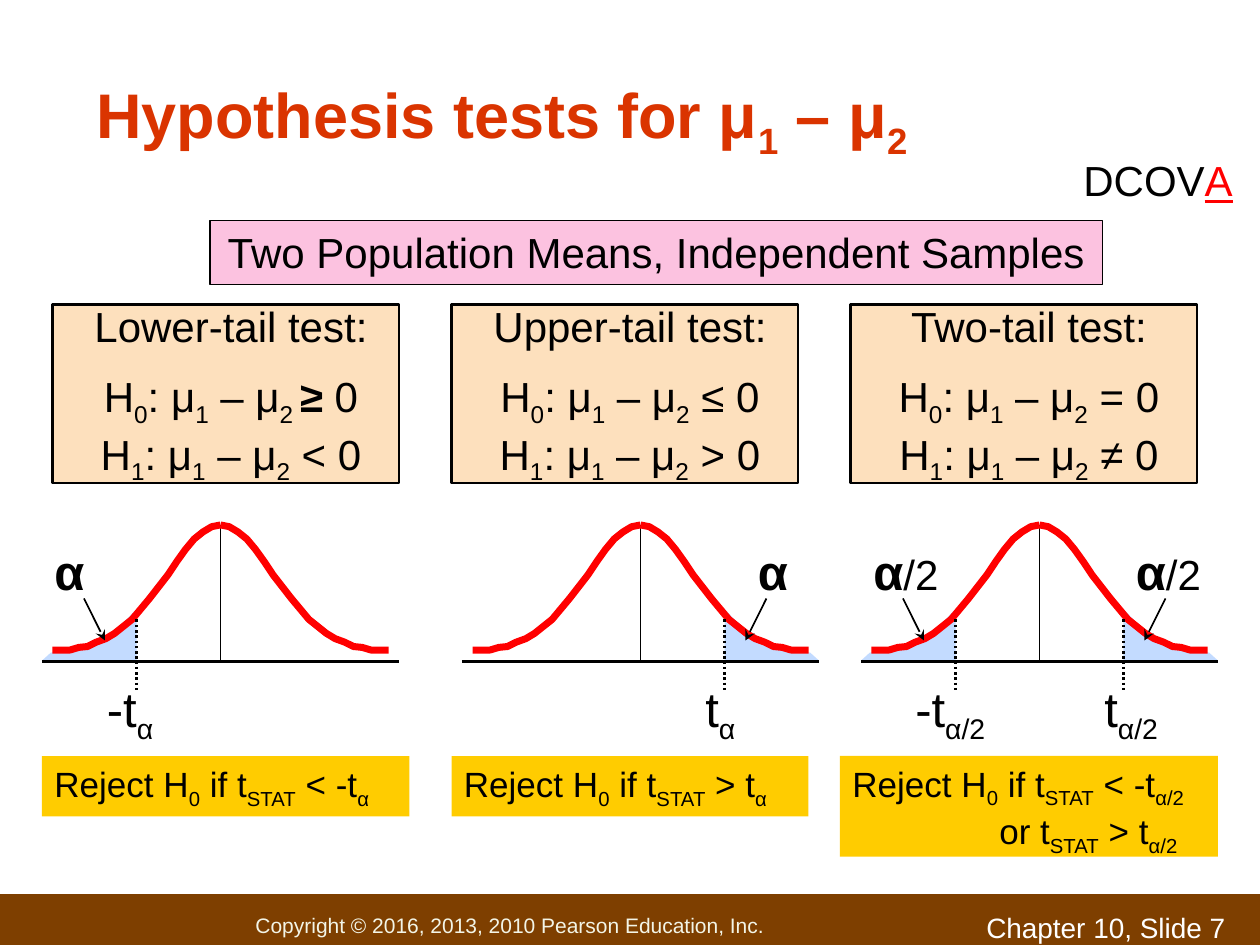
"""Build the slide on hypothesis tests for the difference of two means."""
from lxml.etree import SubElement
from pptx import Presentation
from pptx.dml.color import RGBColor
from pptx.enum.dml import MSO_LINE
from pptx.enum.shapes import MSO_CONNECTOR, MSO_SHAPE
from pptx.enum.text import MSO_ANCHOR, PP_ALIGN
from pptx.oxml.ns import qn
from pptx.util import Pt

BLACK = RGBColor(0x00, 0x00, 0x00)
WHITE = RGBColor(0xFF, 0xFF, 0xFF)
RED = RGBColor(0xFF, 0x00, 0x00)
TITLE_RED = RGBColor(0xDA, 0x34, 0x00)
BROWN = RGBColor(0x7E, 0x3F, 0x00)
CREAM = RGBColor(0xF3, 0xF5, 0xE7)
PEACH = RGBColor(0xFD, 0xE0, 0xBD)
PINK = RGBColor(0xFC, 0xC2, 0xE0)
GOLD = RGBColor(0xFF, 0xCC, 0x00)
TAIL_BLUE = RGBColor(0xC3, 0xDB, 0xFF)

LEFT, RIGHT = -1, 1
AXIS_Y, PEAK_Y = 378, 300
AXIS_REACH, CUTOFF_REACH = 102, 48
CURVE = [(96, 371.5), (86, 371.5), (81, 370), (76, 369.5), (71, 367), (65.5, 365),
         (60.5, 362), (50.5, 354), (40.5, 342), (30, 328.5), (25, 321), (20, 314),
         (15, 308), (10, 304), (5, 301), (0, PEAK_Y)]
TAIL = [(AXIS_REACH, 377.5), (97, 373), (79, 369.5), (69.5, 366.5), (59, 359.5),
        (CUTOFF_REACH, 348), (CUTOFF_REACH, AXIS_Y), (AXIS_REACH, AXIS_Y)]
HYPOTHESES = [
    ("Lower-tail test:", "H|0|: μ|1| – μ|2 |≥|| 0", "H|1|: μ|1| – μ|2| < 0"),
    ("Upper-tail test:", "H|0|: μ|1| – μ|2| ≤ 0", "H|1|: μ|1| – μ|2| > 0"),
    ("Two-tail test:", "H|0|: μ|1| – μ|2| = 0", "H|1|: μ|1| – μ|2| ≠ 0"),
]
# Each tail: side, area label and its left, critical value and its left.
CURVES = [
    (126, [(LEFT, "α", -102, "-t|α", -72)]),
    (366, [(RIGHT, "α", 60, "t|α", 30)]),
    (594, [(LEFT, "α||/2", -102, "-t|α/2", -78), (RIGHT, "α||/2", 48, "t|α/2", 30)]),
]
REJECTIONS = [
    (24, 210, 34.5, ["Reject H|0| if t|STAT| < -t|α"]),
    (258, 204, 34.5, ["Reject H|0| if t|STAT| > t|α"]),
    (480, 216, 57.5, ["Reject H|0| if t|STAT| < -t|α/2", "or t|STAT| > t|α/2"]),
]


def write_paragraph(paragraph, markup, size, color=BLACK, bold=False):
    """Write text in which every second part between bars is a subscript."""
    for index, part in enumerate(markup.split("|")):
        if not part:
            continue
        run = paragraph.add_run()
        run.text = part
        run.font.name = "Arial"
        run.font.size = Pt(size)
        run.font.bold = bold
        run.font.color.rgb = color
        if index % 2:
            run.font._element.set("baseline", "-25000")


def fill_text(shape, lines, size, color=BLACK, bold=False, align=PP_ALIGN.LEFT):
    """Write the lines into a shape and return its paragraphs."""
    frame = shape.text_frame
    frame.word_wrap = True
    frame.vertical_anchor = MSO_ANCHOR.TOP
    for index, line in enumerate(lines):
        paragraph = frame.add_paragraph() if index else frame.paragraphs[0]
        paragraph.alignment = align
        write_paragraph(paragraph, line, size, color, bold)
    return frame.paragraphs


def add_text(slide, left, top, width, height):
    """Add an empty text box."""
    return slide.shapes.add_textbox(Pt(left), Pt(top), Pt(width), Pt(height))


def paint(shape, fill=None, line=None, width=1.5):
    """Set fill and outline of a shape, leaving out what is None."""
    shape.shadow.inherit = False
    if fill is None:
        shape.fill.background()
    else:
        shape.fill.solid()
        shape.fill.fore_color.rgb = fill
    if line is None:
        shape.line.fill.background()
    else:
        shape.line.color.rgb = line
        shape.line.width = Pt(width)


def add_box(slide, left, top, width, height, fill, line=None, line_width=1.5):
    """Add a filled rectangle."""
    shape = slide.shapes.add_shape(MSO_SHAPE.RECTANGLE, Pt(left), Pt(top), Pt(width), Pt(height))
    paint(shape, fill, line, line_width)
    return shape


def add_outline(slide, center, side, points, closed, fill=None, line=None):
    """Add a freeform from distances to the center line on one side."""
    corners = [(Pt(center + side * reach), Pt(y)) for reach, y in points]
    builder = slide.shapes.build_freeform(*corners[0], scale=1.0)
    builder.add_line_segments(corners[1:], close=closed)
    paint(builder.convert_to_shape(), fill, line, 4)


def add_line(slide, x1, y1, x2, y2, width, dash=None, arrow=False):
    """Add a black straight line."""
    connector = slide.shapes.add_connector(
        MSO_CONNECTOR.STRAIGHT, Pt(x1), Pt(y1), Pt(x2), Pt(y2))
    connector.line.color.rgb = BLACK
    connector.line.width = Pt(width)
    if dash:
        connector.line.dash_style = dash
    properties = connector._element.spPr
    if arrow:
        SubElement(properties.get_or_add_ln(), qn("a:tailEnd"), type="stealth")
    SubElement(properties, qn("a:effectLst"))


def add_tail_labels(slide, center, side, area, area_left, critical, critical_left):
    """Mark a rejection tail with its area, arrow, cutoff and critical value."""
    label = add_text(slide, center + area_left, 306, 66 if "/" in area else 30, 40)
    alpha = fill_text(label, [area], 24)[0].runs[0]
    alpha.font.size = Pt(28)
    alpha.font.bold = True
    start = 75 - 3 * side
    add_line(slide, center + side * start, 342, center + side * (start - 12), 366, 1, arrow=True)
    fill_text(add_text(slide, center + critical_left, 384, 78, 45), [critical], 28)
    cutoff = center + side * CUTOFF_REACH
    add_line(slide, cutoff, 354, cutoff, 396, 1.5, dash=MSO_LINE.ROUND_DOT)


def add_distribution(slide, center, tails):
    """Draw a bell curve with its shaded and labelled tails."""
    add_line(slide, center, PEAK_Y, center, AXIS_Y, 0.75)
    for tail in tails:
        add_outline(slide, center, tail[0], TAIL, True, fill=TAIL_BLUE)
    for side in (LEFT, RIGHT):
        add_outline(slide, center, side, CURVE, False, line=RED)
    add_line(slide, center - AXIS_REACH, AXIS_Y, center + AXIS_REACH, AXIS_Y, 2)
    for tail in tails:
        add_tail_labels(slide, center, *tail)


def add_hypotheses(slide, left, lines):
    """Add a box with a test's name and its two hypotheses."""
    add_box(slide, left, 174, 198, 102, PEACH, BLACK)
    box = add_text(slide, left - 6, 168, 216, 114)
    paragraphs = fill_text(box, lines, 24, align=PP_ALIGN.CENTER)
    paragraphs[1].space_before = Pt(11.5)
    for run in paragraphs[1].runs:
        run.font.bold = run.text == "≥"


def add_rejection(slide, left, width, height, lines):
    """Add a decision rule, with any second line indented."""
    box = add_box(slide, left, 432, width, height, GOLD)
    for paragraph in fill_text(box, lines, 20)[1:]:
        paragraph._p.get_or_add_pPr().set("marL", str(Pt(84)))


def add_header(slide):
    """Add the title, the step marker and the topic banner."""
    title = add_text(slide, 48, 18, 624, 78)
    fill_text(title, ["Hypothesis tests for μ|1| – μ|2"], 36, TITLE_RED, True)
    title.text_frame.vertical_anchor = MSO_ANCHOR.BOTTOM
    step = fill_text(add_text(slide, 612, 85, 114, 36), ["DCOV||A"], 24)[0].runs[-1]
    step.font.color.rgb = RED
    step.font.underline = True
    banner = add_box(slide, 120, 126, 510, 36.5, PINK, BLACK, 0.75)
    fill_text(banner, ["Two Population Means, Independent Samples"], 24, align=PP_ALIGN.CENTER)


def add_footer(slide):
    """Add the footer bar with copyright and slide number."""
    bar = add_box(slide, 0, 511, 720, 35.5, BROWN)
    fill_text(bar, ["Copyright © 2016, 2013, 2010 Pearson Education, Inc."], 12, CREAM)
    bar.text_frame.margin_left = Pt(146)
    bar.text_frame.vertical_anchor = MSO_ANCHOR.MIDDLE
    fill_text(add_text(slide, 556.5, 517, 168, 19), ["Chapter 10, Slide 7"], 16, WHITE)


def main():
    """Build and save the presentation."""
    presentation = Presentation()
    presentation.slide_width, presentation.slide_height = Pt(720), Pt(540)
    slide = presentation.slides.add_slide(presentation.slide_layouts[6])
    add_footer(slide)
    add_header(slide)
    for index, lines in enumerate(HYPOTHESES):
        add_hypotheses(slide, 30 + 228 * index, lines)
    for center, tails in CURVES:
        add_distribution(slide, center, tails)
    for rejection in REJECTIONS:
        add_rejection(slide, *rejection)
    presentation.save("out.pptx")


if __name__ == "__main__":
    main()
